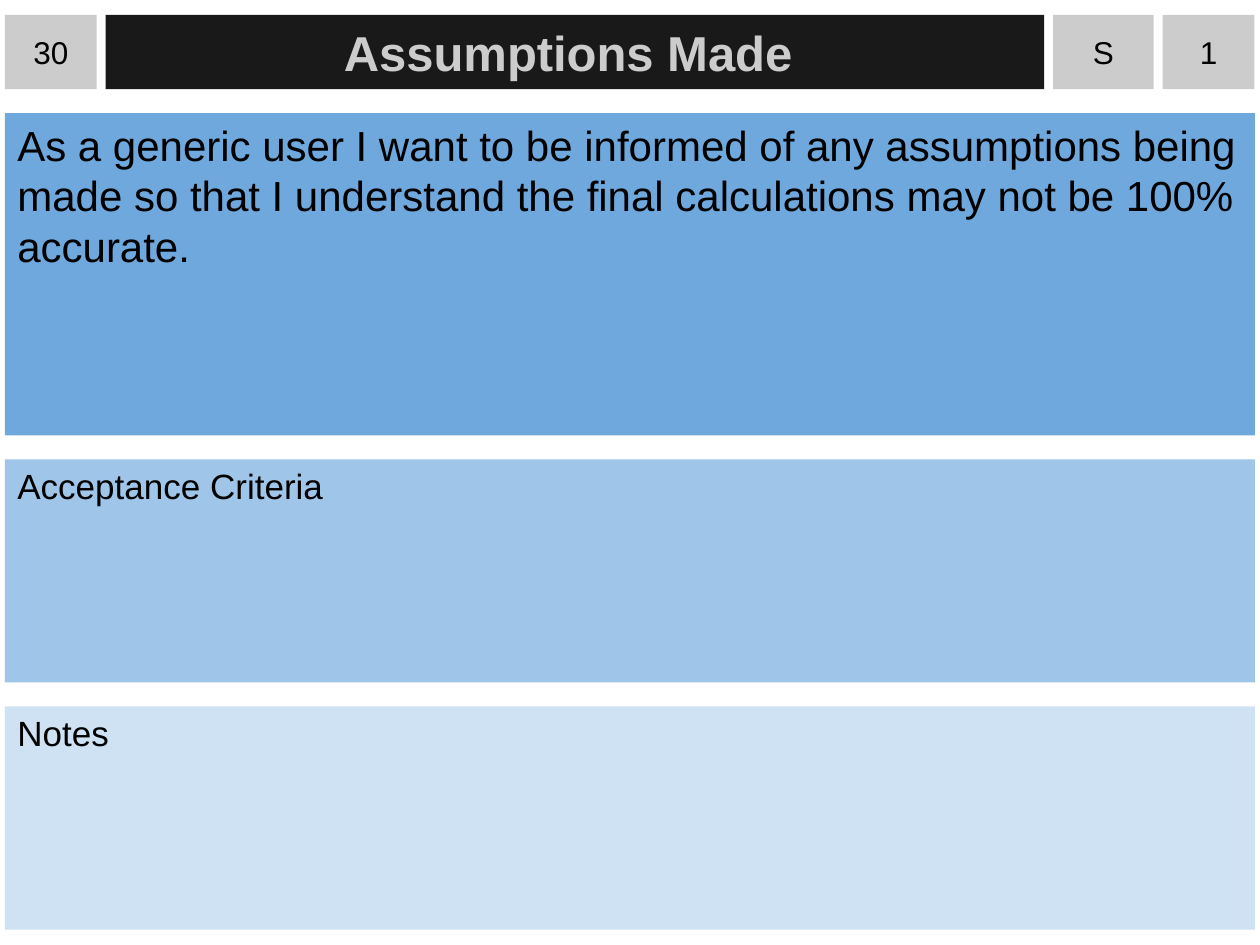
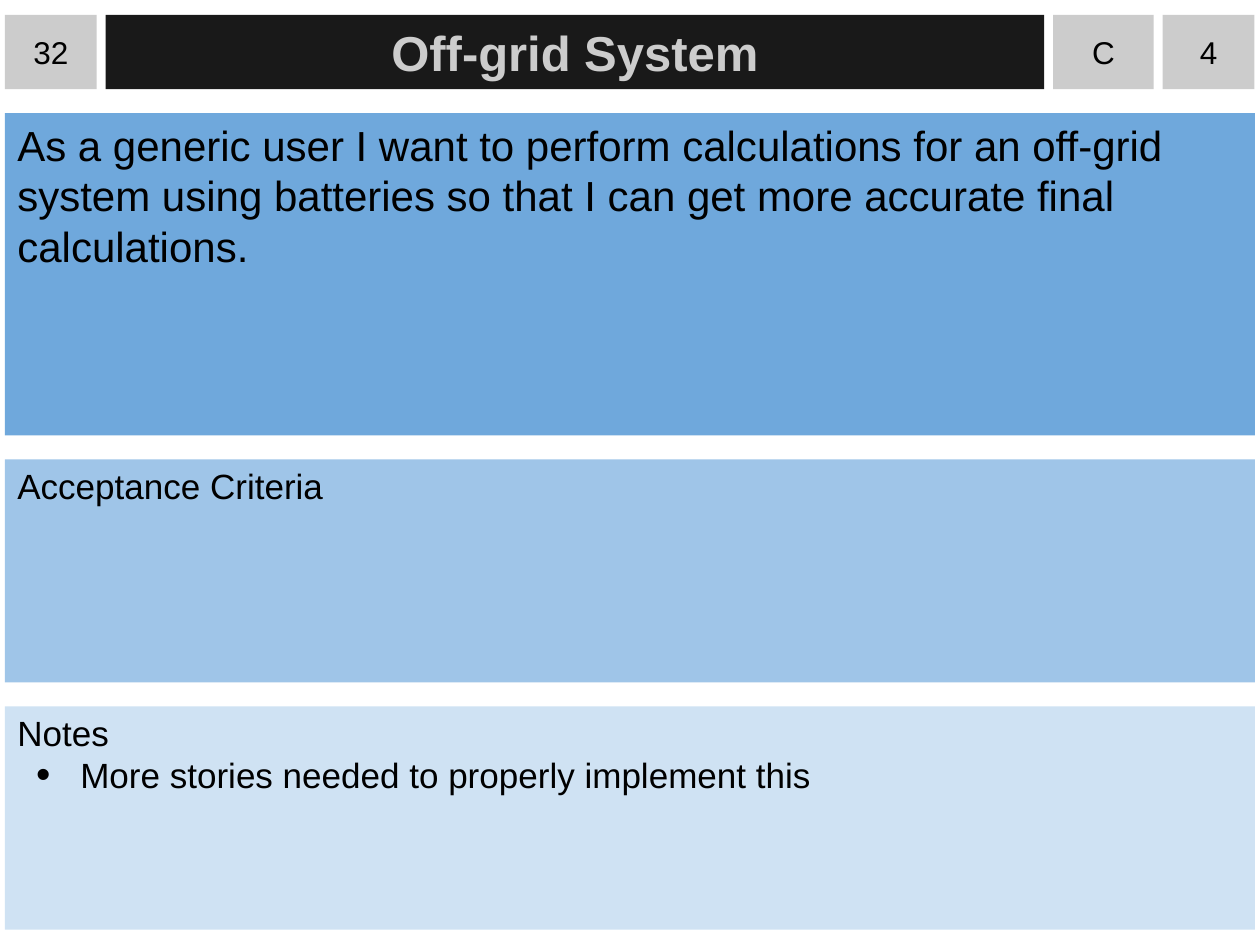
from lxml.etree import SubElement
from pptx import Presentation
from pptx.dml.color import RGBColor
from pptx.enum.shapes import MSO_SHAPE
from pptx.enum.text import MSO_ANCHOR, PP_ALIGN
from pptx.oxml.ns import qn
from pptx.util import Cm, Pt

MARGIN = 0.1
HEADER_TOP, HEADER_HEIGHT = 0.3, 1.5
HEADER_GAP, BAND_GAP = 0.18, 0.48
BADGE_WIDTH, TITLE_WIDTH, PRIORITY_WIDTH = 1.85, 18.92, 2.03
BAND_WIDTH = 25.2
STORY_HEIGHT, SECTION_HEIGHT = 6.5, 4.5
BLACK, CHARCOAL, GREY = "000000", "191919", "CCCCCC"
STORY_BLUE, CRITERIA_BLUE, NOTES_BLUE = "6FA8DC", "9FC5E8", "CFE2F3"

STORIES = [
    {
        "number": "30",
        "title": "Assumptions Made ",
        "priority": "S",
        "estimate": "1",
        "story": "As a generic user I want to be informed of any assumptions being made "
                 "so that I understand the final calculations may not be 100% accurate.",
        "notes": [],
    },
    {
        "number": "32",
        "title": "Off-grid System",
        "priority": "C",
        "estimate": "4",
        "story": "As a generic user I want to perform calculations for an off-grid system "
                 "using batteries so that I can get more accurate final calculations.",
        "notes": ["More stories needed to properly implement this"],
    },
]


def color(hex_string):
    return RGBColor.from_string(hex_string)


def write(paragraph, text, size=20, text_color=BLACK, bold=False, align=PP_ALIGN.LEFT):
    paragraph.alignment = align
    run = paragraph.add_run()
    run.text = text
    run.font.name = "Arial"
    run.font.size = Pt(size)
    run.font.bold = bold
    run.font.color.rgb = color(text_color)


def add_bullet(paragraph):
    """Give the paragraph a hanging indent and a slightly enlarged black dot."""
    properties = paragraph._p.get_or_add_pPr()
    properties.set("marL", str(Cm(1.27)))
    properties.set("indent", str(Cm(-0.89)))
    bullet_color = SubElement(properties, qn("a:buClr"))
    SubElement(bullet_color, qn("a:srgbClr"), val=BLACK)
    SubElement(properties, qn("a:buSzPct"), val="117000")
    SubElement(properties, qn("a:buFont"), typeface="Arial")
    SubElement(properties, qn("a:buChar"), char="•")


class StoryCard:
    def __init__(self, presentation):
        self.slide = presentation.slides.add_slide(presentation.slide_layouts[6])

    def box(self, left, top, width, height, fill, inset=0.25, inset_top=0.13,
            anchor=MSO_ANCHOR.TOP):
        """Add a plain filled rectangle and return its text frame."""
        shape = self.slide.shapes.add_shape(
            MSO_SHAPE.RECTANGLE, Cm(left), Cm(top), Cm(width), Cm(height))
        shape.shadow.inherit = False
        shape.fill.solid()
        shape.fill.fore_color.rgb = color(fill)
        shape.line.fill.background()
        frame = shape.text_frame
        frame.word_wrap = True
        frame.vertical_anchor = anchor
        frame.margin_left = frame.margin_right = Cm(inset)
        frame.margin_top, frame.margin_bottom = Cm(inset_top), Cm(0.13)
        return frame

    def header(self, story):
        badge = {"fill": GREY, "inset": 0}, {"size": 18}
        title = {"fill": CHARCOAL}, {"size": 28, "text_color": GREY, "bold": True}
        cells = [
            ("number", BADGE_WIDTH, badge),
            ("title", TITLE_WIDTH, title),
            ("priority", PRIORITY_WIDTH, badge),
            ("estimate", BADGE_WIDTH, badge),
        ]
        left = MARGIN
        for key, width, (box_format, text_format) in cells:
            frame = self.box(left, HEADER_TOP, width, HEADER_HEIGHT,
                             anchor=MSO_ANCHOR.MIDDLE, **box_format)
            write(frame.paragraphs[0], story[key], align=PP_ALIGN.CENTER, **text_format)
            left += width + HEADER_GAP

    def bands(self, story):
        bands = [
            (story["story"], STORY_HEIGHT, STORY_BLUE, 24, 0.13, []),
            ("Acceptance Criteria", SECTION_HEIGHT, CRITERIA_BLUE, 20, 0.1, []),
            ("Notes", SECTION_HEIGHT, NOTES_BLUE, 20, 0.1, story["notes"]),
        ]
        top = HEADER_TOP + HEADER_HEIGHT + BAND_GAP
        for text, height, fill, size, inset_top, bullets in bands:
            frame = self.box(MARGIN, top, BAND_WIDTH, height, fill, inset_top=inset_top)
            write(frame.paragraphs[0], text, size=size)
            for bullet in bullets:
                paragraph = frame.add_paragraph()
                write(paragraph, bullet, size=size)
                add_bullet(paragraph)
            top += height + BAND_GAP


def main():
    presentation = Presentation()
    presentation.slide_width, presentation.slide_height = Cm(25.4), Cm(19.05)
    for story in STORIES:
        card = StoryCard(presentation)
        card.header(story)
        card.bands(story)
    presentation.save("out.pptx")


if __name__ == "__main__":
    main()
